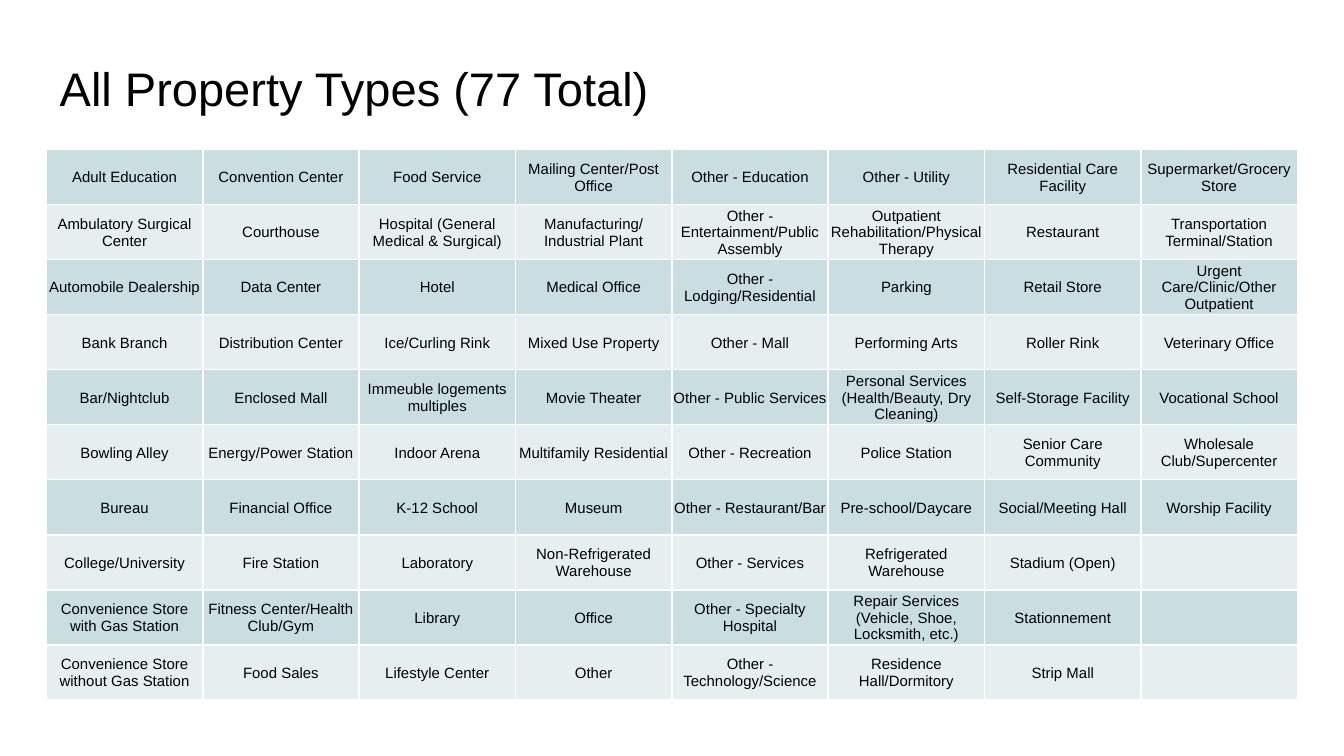
"""Build a slide that lists all property types in a banded table."""
from typing import NamedTuple

from lxml.etree import SubElement
from pptx import Presentation
from pptx.dml.color import RGBColor
from pptx.enum.text import MSO_ANCHOR as ANCHOR, PP_ALIGN as ALIGN
from pptx.oxml.ns import qn
from pptx.util import Pt

FONT, BLACK, WHITE = "Arial", "000000", "FFFFFF"
BANDS = ("CADDE1", "E6EFF0")
LEFT, TABLE_TOP, COL_W, ROW_H = 24.9, 80.1, 83.79, 29.5

COLUMNS = (
    ("Adult Education", "Ambulatory Surgical Center", "Automobile Dealership",
     "Bank Branch", "Bar/Nightclub", "Bowling Alley", "Bureau", "College/University",
     "Convenience Store with Gas Station", "Convenience Store without Gas Station"),
    ("Convention Center", "Courthouse", "Data Center", "Distribution Center",
     "Enclosed Mall", "Energy/Power Station", "Financial Office", "Fire Station",
     "Fitness Center/Health Club/Gym", "Food Sales"),
    ("Food Service", "Hospital (General Medical & Surgical)", "Hotel",
     "Ice/Curling Rink", "Immeuble logements multiples", "Indoor Arena",
     "K-12 School", "Laboratory", "Library", "Lifestyle Center"),
    ("Mailing Center/Post Office", "Manufacturing/Industrial Plant", "Medical Office",
     "Mixed Use Property", "Movie Theater", "Multifamily Residential", "Museum",
     "Non-Refrigerated Warehouse", "Office", "Other"),
    ("Other - Education", "Other - Entertainment/Public Assembly",
     "Other - Lodging/Residential", "Other - Mall", "Other - Public Services",
     "Other - Recreation", "Other - Restaurant/Bar", "Other - Services",
     "Other - Specialty Hospital", "Other - Technology/Science"),
    ("Other - Utility", "Outpatient Rehabilitation/Physical Therapy", "Parking",
     "Performing Arts", "Personal Services (Health/Beauty, Dry Cleaning)",
     "Police Station", "Pre-school/Daycare", "Refrigerated Warehouse",
     "Repair Services (Vehicle, Shoe, Locksmith, etc.)", "Residence Hall/Dormitory"),
    ("Residential Care Facility", "Restaurant", "Retail Store", "Roller Rink",
     "Self-Storage Facility", "Senior Care Community", "Social/Meeting Hall",
     "Stadium (Open)", "Stationnement", "Strip Mall"),
    ("Supermarket/Grocery Store", "Transportation Terminal/Station",
     "Urgent Care/Clinic/Other Outpatient", "Veterinary Office", "Vocational School",
     "Wholesale Club/Supercenter", "Worship Facility", "", "", ""),
)


class PropertyCell(NamedTuple):
    row: int
    col: int
    text: str

    @property
    def fill(self) -> str:
        return BANDS[self.row % 2]


def rgb(value: str) -> RGBColor:
    return RGBColor.from_string(value)


def add_run(p, text: str, size: float) -> None:
    r = p.add_run()
    r.text = text
    r.font.name, r.font.size = FONT, Pt(size)
    r.font.color.rgb = rgb(BLACK)


def add_title(s, text: str) -> None:
    sp = s.shapes.add_textbox(Pt(LEFT), Pt(23.8), Pt(671), Pt(45.4))
    tf = sp.text_frame
    tf.word_wrap = True
    tf.vertical_anchor = ANCHOR.BOTTOM
    tf.margin_left = tf.margin_right = tf.margin_top = tf.margin_bottom = Pt(7.2)
    add_run(tf.paragraphs[0], text, 25.2)


def set_borders(cell, color: str, width: float) -> None:
    tc_pr = cell._tc.get_or_add_tcPr()
    for index, side in enumerate(("lnL", "lnR", "lnT", "lnB")):
        ln = SubElement(tc_pr, qn(f"a:{side}"), w=str(Pt(width)))
        fill = SubElement(ln, qn("a:solidFill"))
        SubElement(fill, qn("a:srgbClr"), val=color)
        tc_pr.insert(index, ln)


def draw_cell(table, item: PropertyCell) -> None:
    cell = table.cell(item.row, item.col)
    cell.fill.solid()
    cell.fill.fore_color.rgb = rgb(item.fill)
    cell.vertical_anchor = ANCHOR.MIDDLE
    cell.margin_left = cell.margin_right = cell.margin_top = Pt(0.7)
    cell.margin_bottom = Pt(0)
    set_borders(cell, WHITE, 1)
    p = cell.text_frame.paragraphs[0]
    p.alignment = ALIGN.CENTER
    if item.text:
        add_run(p, item.text, 8)


def add_property_table(s) -> None:
    n_rows, n_cols = len(COLUMNS[0]), len(COLUMNS)
    table = s.shapes.add_table(n_rows, n_cols, Pt(LEFT), Pt(TABLE_TOP),
                               Pt(COL_W * n_cols), Pt(ROW_H * n_rows)).table
    table.first_row = table.horz_banding = False
    for column in table.columns:
        column.width = Pt(COL_W)
    for row in table.rows:
        row.height = Pt(ROW_H)
    for col, names in enumerate(COLUMNS):
        for row, name in enumerate(names):
            draw_cell(table, PropertyCell(row, col, name))


def main() -> None:
    prs = Presentation()
    prs.slide_width, prs.slide_height = Pt(720), Pt(405)
    s = prs.slides.add_slide(prs.slide_layouts[6])
    add_title(s, "All Property Types (77 Total)")
    add_property_table(s)
    prs.save("out.pptx")


if __name__ == "__main__":
    main()
